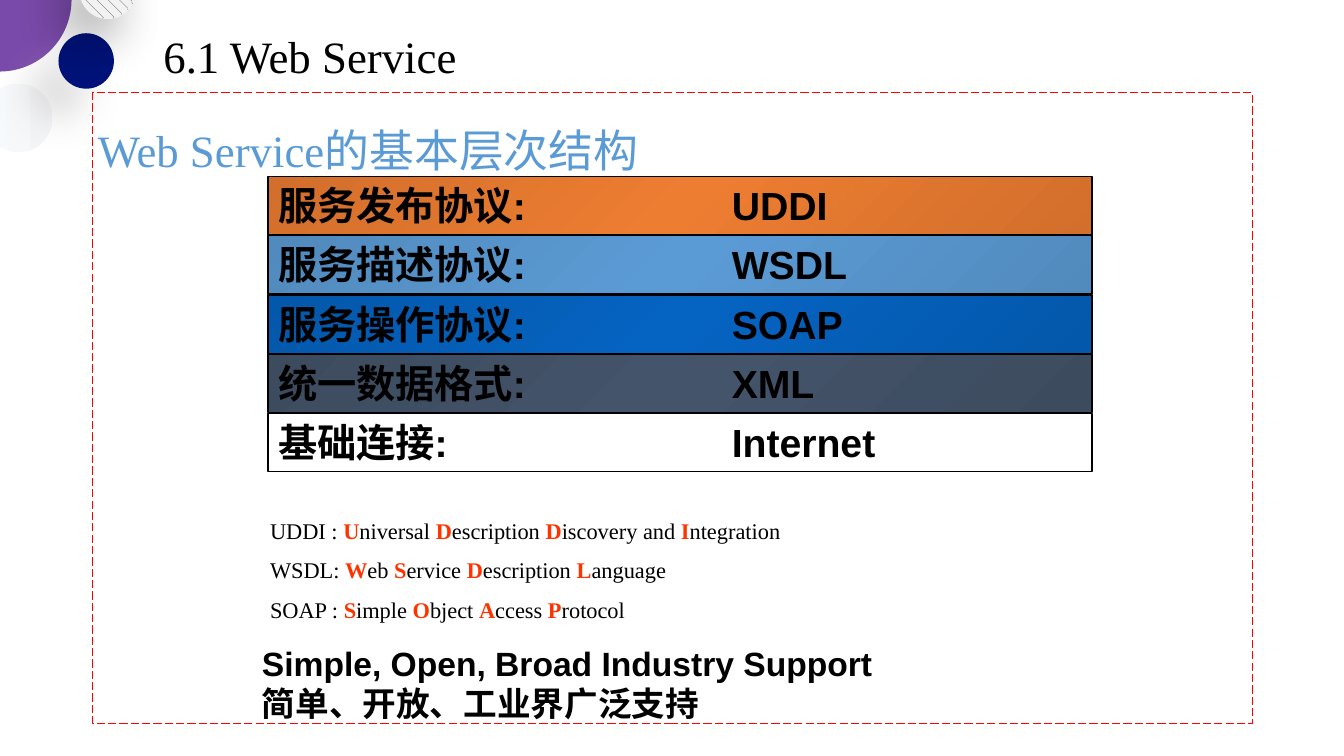
"""Build the slide on the basic layer structure of Web Service."""
from copy import deepcopy
from itertools import groupby

from lxml import etree
from pptx import Presentation
from pptx.dml.color import RGBColor
from pptx.enum.dml import MSO_LINE, MSO_PATTERN
from pptx.enum.shapes import MSO_SHAPE
from pptx.enum.text import MSO_ANCHOR, MSO_AUTO_SIZE, PP_ALIGN
from pptx.oxml.ns import qn
from pptx.util import Inches, Pt

RECTANGLE, OVAL = MSO_SHAPE.RECTANGLE, MSO_SHAPE.OVAL
LONG_DASH, SHINGLE = MSO_LINE.LONG_DASH, MSO_PATTERN.SHINGLE
TOP, MIDDLE, LEFT = MSO_ANCHOR.TOP, MSO_ANCHOR.MIDDLE, PP_ALIGN.LEFT
GROW = MSO_AUTO_SIZE.SHAPE_TO_FIT_TEXT
SERIF, SANS, CHINESE = "Times New Roman", "Arial", "Noto Sans CJK SC"
rgb = RGBColor.from_string


def style(paragraph, size, face, color="000000", bold=False):
    paragraph.alignment = LEFT
    font = paragraph.font
    font.size, font.name, font.bold = Pt(size), face, bold
    font.color.rgb = rgb(color)
    etree.SubElement(paragraph._p.pPr.find(qn("a:defRPr")), qn("a:ea"), typeface=CHINESE)


def add_plain(kind, left, top, width, height):
    shape = slide.shapes.add_shape(kind, *map(Inches, (left, top, width, height)))
    shape.shadow.inherit = False
    shape.fill.background()
    shape.line.fill.background()
    return shape


prs = Presentation()
prs.slide_width, prs.slide_height = Inches(13.33), Inches(7.5)
slide = prs.slides.add_slide(prs.slide_layouts[5])

purple_circle = add_plain(OVAL, -0.72, -0.72, 1.43, 1.43)
purple_circle.fill.solid()
purple_circle.fill.fore_color.rgb = rgb("7A4AAA")

pale_circle = add_plain(OVAL, -0.16, 0.83, 0.68, 0.68)
pale_circle.rotation = 270
pale_circle.fill.gradient()
pale_circle.fill.gradient_angle = 270
for stop, color in zip(pale_circle.fill.gradient_stops, ("F7FAFD", "F4F5F7")):
    stop.color.rgb = rgb(color)

navy_circle = add_plain(OVAL, 0.58, 0.33, 0.55, 0.55)
navy_circle.fill.solid()
navy_circle.fill.fore_color.rgb = rgb("001279")

hatched_circles = []
for top, size in ((-0.37, 0.56), (-0.36, 0.54)):
    hatched = add_plain(OVAL, 0.79, top, size, size)
    hatched.rotation = 11.1
    hatched.fill.patterned()
    hatched.fill.pattern = SHINGLE
    hatched.fill.fore_color.rgb = rgb("404040")
    hatched.fill.back_color.rgb = rgb("F2F2F2")
    hatched_circles.append(hatched)

for circle, color, blur, distance in (
    (navy_circle, "AFABAB", 27, 29),
    (hatched_circles[0], "000000", 38, 19),
):
    effects = circle._element.spPr.find(qn("a:effectLst"))
    shadow = etree.SubElement(effects, qn("a:outerShdw"), blurRad=str(Pt(blur)),
                              dist=str(Pt(distance)), dir="8100000", rotWithShape="0")
    shade = etree.SubElement(shadow, qn("a:srgbClr"), val=color)
    etree.SubElement(shade, qn("a:alpha"), val="40000")

content_frame = add_plain(RECTANGLE, 0.92, 0.92, 11.5, 6.26)
content_frame.line.color.rgb = rgb("FF0000")
content_frame.line.width = Pt(0.75)
content_frame.line.dash_style = LONG_DASH
content_frame.text_frame.vertical_anchor = TOP
heading = content_frame.text_frame.paragraphs[0]
heading.text = "Web Service的基本层次结构"
heading.line_spacing, heading.space_before, heading.space_after = 1.5, Pt(10), Pt(6)
style(heading, 32, SERIF, "5B9BD5")

LAYERS = (
    ("服务发布协议:", "UDDI", "D26F2C", "ED7D31"),
    ("服务描述协议:", "WSDL", "518ABD", "5B9BD5"),
    ("服务操作协议:", "SOAP", "0458AB", "0563C1"),
    ("统一数据格式:", "XML", "3C4B5E", "44546A"),
    ("基础连接:", "Internet", None, None),
)
layer_step = (4.1 - 1.75) / (len(LAYERS) - 1)
for index, (role, protocol, edge, middle) in enumerate(LAYERS):
    layer = add_plain(RECTANGLE, 2.66, 1.75 + index * layer_step, 8.17, 0.58)
    layer.line.color.rgb = rgb("000000")
    layer.line.width = Pt(1)
    if edge:
        layer.fill.gradient()
        layer.fill.gradient_angle = 315
        first_stop = layer._element.spPr.find(".//" + qn("a:gs"))
        first_stop.addnext(deepcopy(first_stop))
        stops = zip(layer.fill.gradient_stops, (0, 0.5, 1), (edge, middle, edge))
        for stop, position, color in stops:
            stop.position = position
            stop.color.rgb = rgb(color)
    layer.text_frame.vertical_anchor = TOP
    layer.text_frame.auto_size = GROW
    label = layer.text_frame.paragraphs[0]
    label.text = f"{role}\t{protocol}"
    style(label, 28, SANS, bold=True)
    tabs = etree.Element(qn("a:tabLst"))
    etree.SubElement(tabs, qn("a:tab"), pos=str(Inches(4.5)), algn="l")
    label._p.pPr.find(qn("a:defRPr")).addprevious(tabs)

summary = slide.shapes.add_textbox(*map(Inches, (2.5, 6.33, 8.17, 0.91))).text_frame
summary.word_wrap, summary.auto_size = True, GROW
summary.text = "Simple, Open, Broad Industry Support\n简单、开放、工业界广泛支持"
for paragraph in summary.paragraphs:
    style(paragraph, 24, SANS, bold=True)

ACRONYMS = (
    ("UDDI : ", "Universal Description Discovery and Integration"),
    ("WSDL: ", "Web Service Description Language"),
    ("SOAP : ", "Simple Object Access Protocol"),
)
glossary = slide.shapes.add_textbox(*map(Inches, (2.58, 5.08, 5.75, 1.17))).text_frame
glossary.word_wrap, glossary.auto_size = True, GROW
for index, (acronym, meaning) in enumerate(ACRONYMS):
    entry = glossary.add_paragraph() if index else glossary.paragraphs[0]
    entry.space_before = Pt(9)
    style(entry, 16, SERIF)
    entry.add_run().text = acronym
    for is_initial, letters in groupby(meaning, str.isupper):
        run = entry.add_run()
        run.text = "".join(letters)
        if is_initial:
            run.font.bold = True
            run.font.color.rgb = rgb("FF3300")

title = slide.shapes.title
title.left, title.top, title.width, title.height = map(Inches, (1.57, 0.26, 10.85, 0.66))
title.text_frame.text = "6.1 Web Service"
title.text_frame.vertical_anchor = MIDDLE
title.text_frame.paragraphs[0].line_spacing = 0.9
style(title.text_frame.paragraphs[0], 32, SERIF)

for frame in (title.text_frame, content_frame.text_frame):
    frame.margin_left = frame.margin_right = Inches(0.05)
    frame.margin_top = frame.margin_bottom = Inches(0.03)

prs.save("out.pptx")
